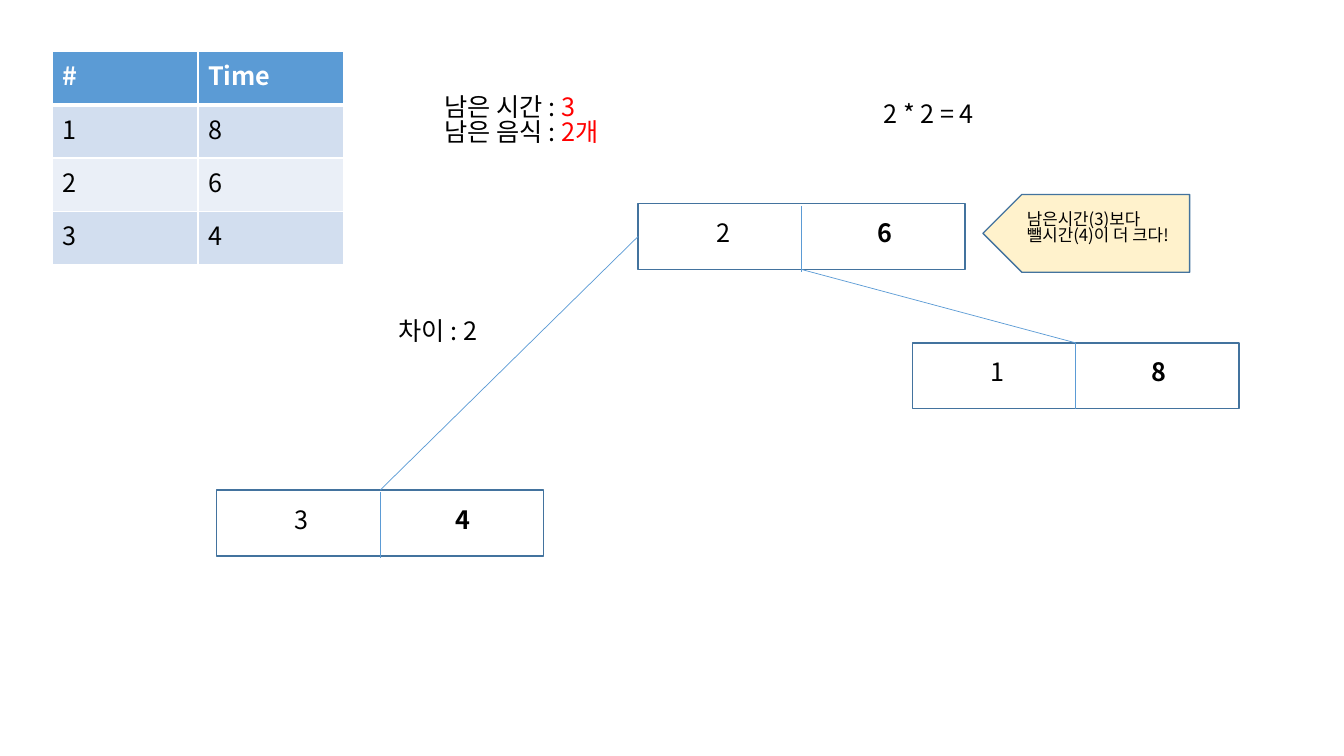
import pptx
import pptx.util
import pptx.dml.color
import pptx.enum.shapes
import pptx.oxml
import pptx.oxml.ns
from lxml import etree

Cm = pptx.util.Cm
Pt = pptx.util.Pt
RGBColor = pptx.dml.color.RGBColor
MSO_SHAPE = pptx.enum.shapes.MSO_SHAPE
qn = pptx.oxml.ns.qn

BLACK = RGBColor(0x00, 0x00, 0x00)
WHITE = RGBColor(0xFF, 0xFF, 0xFF)
RED = RGBColor(0xFF, 0x00, 0x00)
BLUE = RGBColor(0x5B, 0x9B, 0xD5)
OUTLINE = RGBColor(0x43, 0x73, 0x9E)
CREAM = RGBColor(0xFF, 0xF2, 0xCC)
BAND_DARK = RGBColor(0xD2, 0xDE, 0xEF)
BAND_LIGHT = RGBColor(0xEA, 0xEF, 0xF7)

NODE_W, NODE_H = 8.24, 1.66


class Board:
    font = "Noto Sans CJK KR"

    def __init__(self, prs):
        self.s = prs.slides.add_slide(prs.slide_layouts[6])

    def run(self, p, text, color=BLACK, size=18, bold=False):
        r = p.add_run()
        r.text = text
        fmt = {"name": self.font, "size": Pt(size), "bold": bold}
        for key, value in fmt.items():
            setattr(r.font, key, value)
        r.font.color.rgb = color
        ea = etree.SubElement(r.font._element, qn("a:ea"))
        ea.set("typeface", self.font)

    def text(self, x, y, w, h, lines, size=18, bold=False, wrap=True):
        tf = self.s.shapes.add_textbox(Cm(x), Cm(y), Cm(w), Cm(h)).text_frame
        fmt = {"word_wrap": wrap, "margin_top": Cm(0.16)}
        for key, value in fmt.items():
            setattr(tf, key, value)
        for i, runs in enumerate(lines):
            p = tf.add_paragraph() if i else tf.paragraphs[0]
            p.line_spacing = 0.83
            for text, color in runs:
                self.run(p, text, color, size, bold)

    def shape(self, kind, x, y, w, h, fill=None, rotation=0):
        sp = self.s.shapes.add_shape(kind, Cm(x), Cm(y), Cm(w), Cm(h))
        sp.shadow.inherit = False
        sp.rotation = rotation
        if fill is None:
            sp.fill.background()
        else:
            sp.fill.solid()
            sp.fill.fore_color.rgb = fill
        sp.line.color.rgb = OUTLINE
        sp.line.width = Pt(1)
        return sp

    def line(self, x1, y1, x2, y2):
        c = self.s.shapes.add_connector(
            pptx.enum.shapes.MSO_CONNECTOR.STRAIGHT, Cm(x1), Cm(y1), Cm(x2), Cm(y2))
        c.line.color.rgb = BLUE
        c.line.width = Pt(0.5)
        etree.SubElement(c._element.spPr, qn("a:effectLst"))
        return c

    def link(self, start, start_side, end, end_side):
        c = self.line(0, 0, 1, 1)
        c.begin_connect(start, start_side)
        c.end_connect(end, end_side)

    def node(self, x, y, number, time, drop):
        sp = self.shape(MSO_SHAPE.RECTANGLE, x, y, NODE_W, NODE_H)
        middle = x + NODE_W / 2
        self.line(middle, y + drop, middle, y + drop + NODE_H)
        for dx, label, bold in ((1.72, number, False), (5.78, time, True)):
            self.text(x + dx, y + 0.32, 0.88, 1.02, [[(label, BLACK)]],
                      bold=bold, wrap=False)
        return sp

    def border(self, cell, sides):
        tcPr = cell._tc.get_or_add_tcPr()
        for side, width in sides.items():
            ln = etree.SubElement(tcPr, qn("a:ln" + side))
            ln.set("w", str(Pt(width)))
            fill = etree.SubElement(ln, qn("a:solidFill"))
            etree.SubElement(fill, qn("a:srgbClr")).set("val", str(WHITE))

    def table(self, x, y, col_w, row_h, rows):
        n_rows, n_cols = len(rows), len(rows[0])
        tbl = self.s.shapes.add_table(n_rows, n_cols, Cm(x), Cm(y),
                                      Cm(col_w * n_cols), Cm(row_h * n_rows)).table
        for col in tbl.columns:
            col.width = Cm(col_w)
        for i, values in enumerate(rows):
            tbl.rows[i].height = Cm(row_h)
            header = i == 0
            band = BLUE if header else (BAND_LIGHT, BAND_DARK)[i % 2]
            for j, value in enumerate(values):
                cell = tbl.cell(i, j)
                self.border(cell, {"L": 1, "R": 1, "T": 3 if i == 1 else 1,
                                   "B": 3 if header else 1})
                cell.fill.solid()
                cell.fill.fore_color.rgb = band
                self.run(cell.text_frame.paragraphs[0], value,
                         WHITE if header else BLACK, bold=header)


def main():
    prs = pptx.Presentation()
    prs.slide_width, prs.slide_height = Cm(33.87), Cm(19.05)
    board = Board(prs)

    board.table(1.33, 1.3, 3.66, 1.34,
                [("#", "Time"), ("1", "8"), ("2", "6"), ("3", "4")])
    board.text(10.95, 2.26, 8.1, 1.8,
               [[("남은 시간 : ", BLACK), ("3", RED)],
                [("남은 음식 : ", BLACK), ("2개", RED)]])
    board.text(22.02, 2.44, 8.33, 1.02, [[("2 * 2 = 4", BLACK)]])

    right = board.node(22.99, 8.64, "1", "8", 0)
    root = board.node(16.08, 5.13, "2", "6", 0.06)
    left = board.node(5.46, 12.35, "3", "4", 0.06)
    board.link(root, 2, right, 0)
    board.link(left, 0, root, 1)
    board.text(9.8, 7.92, 3.2, 1.02, [[("차이 : 2", BLACK)]])

    board.shape(MSO_SHAPE.PENTAGON, 24.77, 4.9, 5.21, 1.96, CREAM, 180)
    board.text(25.63, 5.18, 6.63, 1.27,
               [[("남은시간(3)보다", BLACK)], [("뺄시간(4)이 더 크다!", BLACK)]], size=12)

    prs.save("out.pptx")


if __name__ == "__main__":
    main()
